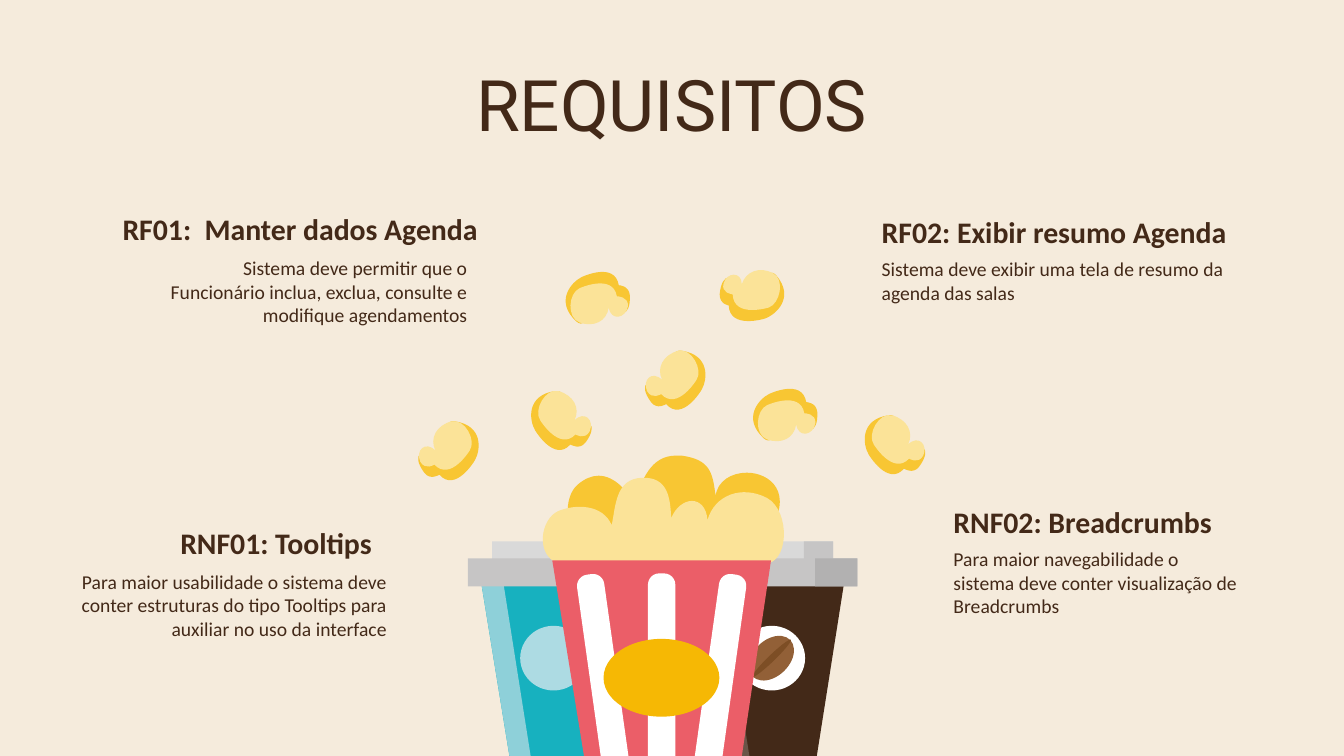
"""Build the REQUISITOS slide: four requirements around an illustrated popcorn bucket."""
from pptx import Presentation
from pptx.dml.color import RGBColor
from pptx.enum.shapes import MSO_SHAPE as SHAPE
from pptx.enum.text import MSO_ANCHOR as ANCHOR, PP_ALIGN as ALIGN
from pptx.oxml.ns import qn
from pptx.oxml.xmlchemy import OxmlElement
from pptx.util import Cm, Pt

CREAM = RGBColor(0xF5, 0xEB, 0xDC)
BROWN = RGBColor(0x43, 0x29, 0x18)
BROWN_LIGHT = RGBColor(0x69, 0x54, 0x47)
BEAN = RGBColor(0x92, 0x60, 0x37)
CREASE = RGBColor(0x7D, 0x4E, 0x25)
TEAL = RGBColor(0x17, 0xB1, 0xBF)
TEAL_LIGHT = RGBColor(0x8E, 0xD0, 0xD9)
TEAL_PALE = RGBColor(0xAD, 0xDB, 0xE3)
GREY_LIGHT = RGBColor(0xD9, 0xD9, 0xD9)
GREY = RGBColor(0xC6, 0xC5, 0xC5)
GREY_DARK = RGBColor(0xB2, 0xB1, 0xB1)
WHITE = RGBColor(0xFF, 0xFF, 0xFF)
YELLOW = RGBColor(0xF8, 0xC6, 0x33)
YELLOW_PALE = RGBColor(0xFB, 0xE3, 0x98)
GOLD = RGBColor(0xF6, 0xB8, 0x04)
RED = RGBColor(0xEB, 0x5E, 0x68)

UNIT = Cm(2.54) / 100

prs = Presentation()
prs.slide_width, prs.slide_height = Cm(33.87), Cm(19.05)
s = prs.slides.add_slide(prs.slide_layouts[6])
s.background.fill.solid()
s.background.fill.fore_color.rgb = CREAM


def paint(sp, color):
    """Give a shape a flat fill without line or shadow."""
    sp.shadow.inherit = False
    sp.fill.solid()
    sp.fill.fore_color.rgb = color
    sp.line.fill.background()


def outline(steps, color, flip=1, dx=0, dy=0):
    """Draw a closed outline of points (x, y) and Bézier curves (two controls and an end)."""
    points = [(dx + flip * step[i], dy + step[i + 1]) for step in steps for i in range(0, len(step), 2)]
    builder = s.shapes.build_freeform(*points[0], scale=UNIT)
    builder.add_line_segments(points[1:], close=True)
    sp = builder.convert_to_shape()
    lines = iter(list(sp.element.iter(qn("a:lnTo"))))
    for step in steps[1:]:
        parts = [next(lines) for _ in range(len(step) // 2)]
        if len(parts) == 3:
            curve = OxmlElement("a:cubicBezTo")
            parts[0].addprevious(curve)
            for line in parts:
                curve.append(line[0])
                line.getparent().remove(line)
    paint(sp, color)


HEAD, BODY = (21.3, True, ANCHOR.BOTTOM, "Calibri"), (14, False, ANCHOR.TOP, "Calibri")
TITLE = (50.7, False, ANCHOR.MIDDLE, "Roboto")
texts = [
    ("REQUISITOS", TITLE, ALIGN.CENTER, 2.67, 2.01, 28.52, 1.19),
    ("Sistema deve permitir que o Funcionário inclua, exclua, consulte e modifique agendamentos",
     BODY, ALIGN.RIGHT, 3.43, 6.12, 8.68, 1.78),
    ("RF01:  Manter dados Agenda", HEAD, ALIGN.RIGHT, 2.11, 4.9, 10.26, 1.63),
    ("Para maior usabilidade o sistema deve conter estruturas do tipo Tooltips "
     "para auxiliar no uso da interface", BODY, ALIGN.RIGHT, 0.71, 14.02, 9.37, 1.78),
    ("RNF01: Tooltips", HEAD, ALIGN.RIGHT, 2.08, 12.83, 7.62, 1.63),
    ("Sistema deve exibir uma tela de resumo da agenda das salas",
     BODY, ALIGN.LEFT, 21.89, 6.15, 10.8, 1.78),
    ("RF02: Exibir resumo Agenda", HEAD, ALIGN.LEFT, 21.89, 4.98, 10.26, 1.63),
    ("Para maior navegabilidade o sistema deve conter visualização de Breadcrumbs",
     BODY, ALIGN.LEFT, 23.7, 13.46, 7.87, 1.78),
    ("RNF02: Breadcrumbs", HEAD, ALIGN.LEFT, 23.7, 12.29, 7.87, 1.63),
]
for text, (size, bold, anchor, font), align, *box in texts:
    tf = s.shapes.add_textbox(*map(Cm, box)).text_frame
    tf.word_wrap = True
    tf.vertical_anchor = anchor
    tf.margin_left = tf.margin_right = tf.margin_top = tf.margin_bottom = Cm(0.33)
    p = tf.paragraphs[0]
    p.text = text
    p.alignment = align
    p.font.name, p.font.size, p.font.bold = font, Pt(size), bold
    p.font.color.rgb = BROWN

cup = [(476, 569), (622, 569), (593, 753), (506, 753)]
cup_side = [(476, 569), (498, 569), (527, 753), (506, 753)]
lid = [
    (12.4, 13.64, 3.1, GREY_LIGHT), (14.76, 13.64, 0.74, GREY),
    (11.79, 14.07, 4.32, GREY), (15.04, 14.07, 1.07, GREY_DARK),
]
for dx, shift, color, side_color, label_color in [
    (217, 5.5, BROWN, BROWN_LIGHT, WHITE),
    (0, 0, TEAL, TEAL_LIGHT, TEAL_PALE),
]:
    outline(cup, color, dx=dx)
    outline(cup_side, side_color, dx=dx)
    for x, y, w, lid_color in lid:
        paint(s.shapes.add_shape(SHAPE.RECTANGLE, Cm(x + shift), Cm(y), Cm(w), Cm(0.71)), lid_color)
    label = s.shapes.add_shape(SHAPE.OVAL, Cm(13.11 + shift), Cm(15.77), Cm(1.68), Cm(1.63))
    paint(label, label_color)

for x, y, w, h, color in [(18.78, 16.13, 1.32, 0.91, BEAN), (18.77, 16.51, 1.35, 0.16, CREASE)]:
    sp = s.shapes.add_shape(SHAPE.OVAL, Cm(x), Cm(y), Cm(w), Cm(h))
    sp.rotation = -44
    paint(sp, color)

kernels = [
    ([(714, 292), (716, 269, 730, 272, 730, 286), (744, 290, 760, 262, 770, 273),
      (789, 295, 770, 312, 759, 316), (759, 316, 724, 327, 723, 303), (723, 303, 714, 302, 714, 292)],
     [(718, 281), (721, 270, 736, 269, 736, 282), (740, 269, 754, 264, 767, 271),
      (779, 277, 774, 301, 763, 305), (763, 305, 728, 316, 727, 292), (727, 292, 715, 291, 718, 281)],
     [(1, 0, 0)]),
    ([(421, 469), (407, 450, 420, 444, 430, 454), (442, 448, 436, 416, 451, 418),
      (480, 422, 477, 447, 471, 457), (471, 457, 452, 489, 436, 471), (436, 471, 427, 477, 421, 469)],
     [(417, 458), (412, 447, 422, 437, 432, 447), (426, 435, 433, 422, 448, 418),
      (461, 415, 473, 437, 466, 447), (466, 447, 447, 478, 431, 461), (431, 461, 422, 467, 417, 458)],
     [(1, 0, 0), (1, 225, -70), (-1, 1333, -6), (-1, 1002, -30)]),
    ([(625, 293), (626, 316, 612, 314, 610, 301), (596, 299, 583, 329, 572, 319),
      (550, 299, 567, 280, 577, 275), (577, 275, 610, 259, 614, 283), (614, 283, 624, 283, 625, 293)],
     [(623, 304), (621, 316, 606, 319, 604, 305), (602, 319, 589, 325, 575, 320),
      (562, 315, 564, 291, 575, 286), (575, 286, 608, 271, 612, 294), (612, 294, 624, 294, 623, 304)],
     [(1, 0, 0), (1, 186, 116)]),
]
for shadow, puff, places in kernels:
    for flip, dx, dy in places:
        outline(shadow, YELLOW, flip, dx, dy)
        outline(puff, YELLOW_PALE, flip, dx, dy)

heap_back = [
    (671, 452), (645, 452, 637, 477, 629, 499), (623, 488, 610, 472, 594, 472),
    (587, 472, 580, 475, 573, 481), (560, 492, 555, 530, 591, 545), (762, 529),
    (789, 489, 764, 469, 741, 469), (726, 469, 712, 477, 710, 492),
    (707, 469, 705, 456, 676, 452), (674, 452, 673, 452, 671, 452),
]
heap_front = [
    (554, 559), (531, 551, 536, 515, 554, 507), (571, 500, 598, 500, 607, 521),
    (611, 501, 611, 475, 637, 474), (663, 473, 665, 494, 666, 514),
    (675, 492, 700, 490, 702, 516), (709, 491, 736, 481, 761, 494), (785, 507, 783, 562, 757, 559),
]
bucket = [(548, 556), (765, 556), (731, 784), (585, 784)]
for steps, color in [(heap_back, YELLOW), (heap_front, YELLOW_PALE), (bucket, RED)]:
    outline(steps, color)

for i in (0, -1, 1):
    stripe = s.shapes.add_shape(SHAPE.ROUNDED_RECTANGLE, Cm(16.33 + 1.47 * i), Cm(14.45), Cm(0.69), Cm(5.15))
    stripe.adjustments[0] = 0.41
    stripe.rotation = 8 * i
    paint(stripe, WHITE)

badge = s.shapes.add_shape(SHAPE.OVAL, Cm(15.21), Cm(16.1), Cm(2.92), Cm(1.96))
paint(badge, GOLD)

prs.save("out.pptx")
